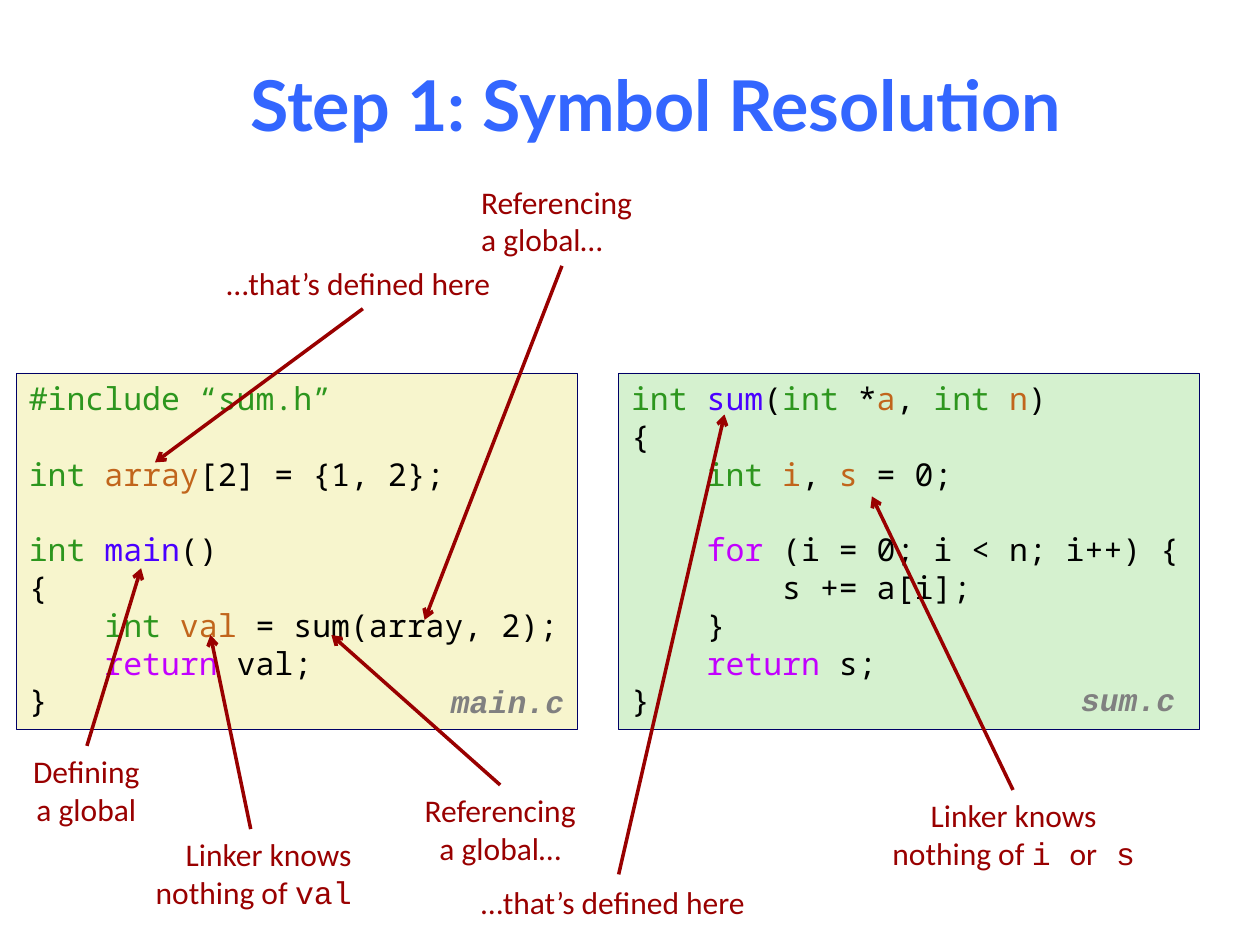
from dataclasses import dataclass
from typing import NamedTuple

from lxml import etree
from pptx import Presentation
from pptx.dml.color import RGBColor
from pptx.enum.shapes import MSO_CONNECTOR, MSO_SHAPE
from pptx.enum.text import MSO_ANCHOR, MSO_AUTO_SIZE, PP_ALIGN
from pptx.oxml.ns import qn
from pptx.util import Pt

SCALE = 9144  # EMU per px, 100 px to the inch
CODE_LINE = Pt(21.6)
LEFT, CENTER, RIGHT = PP_ALIGN.LEFT, PP_ALIGN.CENTER, PP_ALIGN.RIGHT
RED, NAVY = "990000", "000066"
BLACK, TYPE, FUNC, VAR, KEY = "000000", "2D961E", "4A00FF", "C1651C", "C200FF"
BODY = dict(name="Calibri", size=Pt(18))
CODE = dict(name="Noto Sans Mono", size=Pt(18))
MONO = dict(name="Courier New", size=Pt(18))
FILE_NAME = dict(MONO, bold=True, italic=True)
TITLE = dict(name="Lato", size=Pt(40), bold=True)


class Run(NamedTuple):
    text: str
    color: str = BLACK
    fmt: dict = CODE


class Box(NamedTuple):
    left: int
    top: int
    width: int
    height: int


@dataclass
class Listing:
    box: Box
    fill: str
    lines: list  # an empty list is an empty code line
    name: str
    name_box: Box


@dataclass
class Callout:
    box: Box
    align: PP_ALIGN
    lines: list
    start: tuple
    end: tuple


def px(n: int) -> int:
    return n * SCALE


def rgb(color: str) -> RGBColor:
    return RGBColor.from_string(color)


def write(tf, lines: list, align=LEFT, anchor=MSO_ANCHOR.TOP, spacing=None) -> None:
    frame = dict(word_wrap=False, vertical_anchor=anchor,
                 auto_size=MSO_AUTO_SIZE.SHAPE_TO_FIT_TEXT)
    for key, value in frame.items():
        setattr(tf, key, value)
    p, gap = None, 0
    for line in lines:
        if not line:
            gap += CODE_LINE
            continue
        p = tf.add_paragraph() if p else tf.paragraphs[0]
        p.alignment = align
        if spacing:
            p.line_spacing = spacing
        if gap:
            p.space_before = gap
            gap = 0
        for run in line:
            r = p.add_run()
            r.text = run.text
            r.font.color.rgb = rgb(run.color)
            for key, value in run.fmt.items():
                setattr(r.font, key, value)


def add_text(s, box: Box, lines: list, **layout) -> None:
    tb = s.shapes.add_textbox(*map(px, box))
    write(tb.text_frame, lines, **layout)


def add_listing(s, item: Listing) -> None:
    sp = s.shapes.add_shape(MSO_SHAPE.RECTANGLE, *map(px, item.box))
    sp.shadow.inherit = False
    sp.fill.solid()
    sp.fill.fore_color.rgb = rgb(item.fill)
    sp.line.color.rgb = rgb(NAVY)
    sp.line.width = Pt(0.25)
    write(sp.text_frame, item.lines)
    add_text(s, item.name_box, [[Run(item.name, "808080", FILE_NAME)]], spacing=0.94)


def add_arrow(s, start: tuple, end: tuple) -> None:
    cxn = s.shapes.add_connector(MSO_CONNECTOR.STRAIGHT, *map(px, start + end))
    cxn.line.color.rgb = rgb(RED)
    cxn.line.width = Pt(2)
    etree.SubElement(cxn.line._get_or_add_ln(), qn("a:tailEnd"), type="arrow")
    etree.SubElement(cxn._element.spPr, qn("a:effectLst"))


def add_callout(s, item: Callout) -> None:
    add_text(s, item.box, item.lines, align=item.align)
    add_arrow(s, item.start, item.end)


def note(text: str) -> Run:
    return Run(text, RED, BODY)


def symbol(text: str) -> Run:
    return Run(text, RED, MONO)


INT = Run("int ", TYPE)
TAB = Run("    ")
RETURN = Run("return", KEY)
OPEN, CLOSE = [Run("{")], [Run("}")]

LISTINGS = [
    Listing(Box(13, 296, 445, 283), "F7F5CD", [
        [Run("#include “sum.h”", TYPE)],
        [],
        [INT, Run("array", VAR), Run("[2] = {1, 2};")],
        [],
        [INT, Run("main", FUNC), Run("()")],
        OPEN,
        [TAB, INT, Run("val", VAR), Run(" = sum(array, 2);")],
        [TAB, RETURN, Run(" val;")],
        CLOSE,
    ], "main.c", Box(348, 539, 110, 39)),
    Listing(Box(491, 296, 461, 283), "D5F1CF", [
        [INT, Run("sum", FUNC), Run("("), Run("int", TYPE), Run(" *"), Run("a", VAR),
         Run(", "), INT, Run("n", VAR), Run(")")],
        OPEN,
        [TAB, INT, Run("i", VAR), Run(", "), Run("s", VAR), Run(" = 0;")],
        [],
        [TAB, Run("for", KEY), Run(" (i = 0; i < n; i++) {")],
        [Run("        s += a[i];")],
        [Run("    }")],
        [TAB, RETURN, Run(" s;")],
        CLOSE,
    ], "sum.c", Box(848, 537, 102, 39)),
]

REFERENCING = [[note("Referencing")], [note("a global…")]]
DEFINED = [[note("…that’s defined here")]]
LINKER, NOTHING = [note("Linker knows")], note("nothing of ")

CALLOUTS = [
    Callout(Box(372, 140, 146, 71), LEFT, REFERENCING, (446, 211), (337, 492)),
    Callout(Box(14, 592, 109, 71), CENTER, [[note("Defining")], [note("a global")]],
            (69, 592), (112, 451)),
    Callout(Box(109, 658, 180, 71), RIGHT, [LINKER, [NOTHING, symbol("val")]],
            (199, 658), (167, 504)),
    Callout(Box(324, 623, 146, 71), CENTER, REFERENCING, (397, 623), (263, 504)),
    Callout(Box(372, 696, 238, 40), LEFT, DEFINED, (491, 694), (575, 329)),
    Callout(Box(692, 627, 225, 71), CENTER,
            [LINKER, [NOTHING, symbol("i "), note("or"), symbol(" s")]],
            (804, 627), (692, 394)),
    Callout(Box(170, 205, 238, 40), LEFT, DEFINED, (288, 245), (123, 367)),
]


def main() -> None:
    prs = Presentation()
    prs.slide_width, prs.slide_height = px(1000), px(750)
    s = prs.slides.add_slide(prs.slide_layouts[6])

    # Title
    add_text(s, Box(44, 39, 953, 86), [[Run("Step 1: Symbol Resolution", "3366FF", TITLE)]],
             align=CENTER, anchor=MSO_ANCHOR.MIDDLE)
    # Source files
    for item in LISTINGS:
        add_listing(s, item)
    # Callouts with arrows into the code
    for item in CALLOUTS:
        add_callout(s, item)

    prs.save("out.pptx")


if __name__ == "__main__":
    main()
